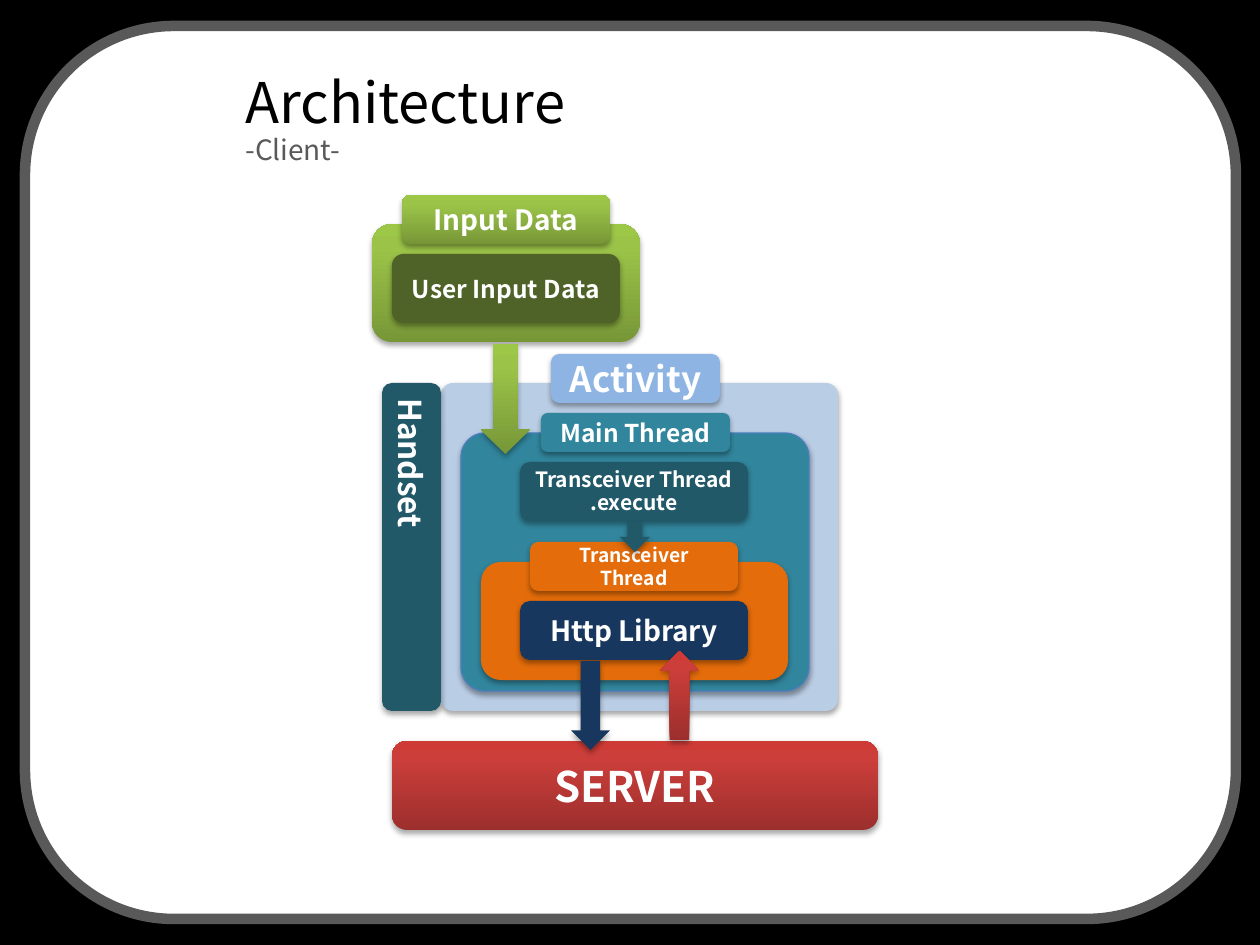
from copy import deepcopy

from lxml import etree
from pptx import Presentation
from pptx.dml.color import RGBColor
from pptx.enum.shapes import MSO_SHAPE as SHAPE
from pptx.enum.text import MSO_ANCHOR as ANCHOR, PP_ALIGN as ALIGN
from pptx.oxml.ns import qn
from pptx.util import Pt

PX = 914400 / 126
FONT = "Noto Sans CJK KR"
COLORS = {
    "black": "000000", "white": "FFFFFF", "gray": "595959",
    "pale": "B9CDE5", "sky": "8EB4E3", "edge": "4B7EBC",
    "teal": "31859C", "deep": "215968", "navy": "17375E",
    "orange": "E46C0A", "olive": "4F6228",
}
GRADIENTS = {
    "green": ("779737", "9BC348", "9DC746"),
    "red": ("9C2F2D", "CB3E3A", "CE3B37"),
}


def rgb(name):
    return RGBColor.from_string(COLORS[name])


def emu(*lengths):
    return [round(n * PX) for n in lengths]


def paint(sp, color):
    if color not in GRADIENTS:
        sp.fill.solid()
        sp.fill.fore_color.rgb = rgb(color)
        return
    sp.fill.gradient()
    sp.fill.gradient_angle = 90
    stops = sp._element.spPr.find(".//" + qn("a:gsLst"))
    stops.append(deepcopy(stops[-1]))
    for stop, pos, value in zip(sp.fill.gradient_stops, (0, 0.8, 1), GRADIENTS[color]):
        stop.position = pos
        stop.color.rgb = RGBColor.from_string(value)


def cast_shadow(sp):
    effects = sp._element.spPr.find(qn("a:effectLst"))
    outer = etree.SubElement(effects, qn("a:outerShdw"), blurRad="40000",
                             dist="23000", dir="5400000", rotWithShape="0")
    tint = etree.SubElement(outer, qn("a:srgbClr"), val=COLORS["black"])
    etree.SubElement(tint, qn("a:alpha"), val="35000")


def style_runs(p, size, color, bold=False):
    for r in p.runs:
        r.font.size = Pt(size)
        r.font.name = FONT
        r.font.bold = bold
        r.font.color.rgb = rgb(color)


def add_block(s, box, color, text="", size=0, kind=SHAPE.ROUNDED_RECTANGLE,
              radius=None, spacing=None, line=None, shadow=True):
    sp = s.shapes.add_shape(kind, *emu(*box))
    sp.shadow.inherit = False
    paint(sp, color)
    if line:
        sp.line.color.rgb = rgb(line[0])
        sp.line.width = Pt(line[1])
    else:
        sp.line.fill.background()
    if radius is not None:
        sp.adjustments[0] = radius
    if shadow:
        cast_shadow(sp)
    if text:
        tf = sp.text_frame
        tf.text = text
        tf.word_wrap = True
        tf.vertical_anchor = ANCHOR.MIDDLE
        for p in tf.paragraphs:
            p.alignment = ALIGN.CENTER
            if spacing:
                p.line_spacing = Pt(spacing)
            style_runs(p, size, "white", True)
    return sp


def add_title(s, box):
    tf = s.shapes.add_textbox(*emu(*box)).text_frame
    tf.word_wrap = False
    tf.text = "Architecture\n-Client-"
    styles = ((32, "black", 42), (16, "gray", 18))
    for p, (size, color, spacing) in zip(tf.paragraphs, styles):
        p.line_spacing = Pt(spacing)
        style_runs(p, size, color)


def add_input(s, box):
    x, y, w, h = box
    add_block(s, box, "green")
    add_block(s, (x + 30, y - 29, w - 60, 49), "green", "Input Data", 16)
    add_block(s, (x + 20, y + 30, w - 40, 69), "olive", "User Input Data", 14)
    add_block(s, (x + 109, y + h + 2, 49, 110), "green", kind=SHAPE.DOWN_ARROW)


def add_transceiver(s, box):
    x, y, w, h = box
    add_block(s, box, "orange")
    add_block(s, (x + 49, y - 20, w - 99, 49), "orange",
              "Transceiver Thread", 11, spacing=13)
    add_block(s, (x + 39, y + 39, w - 79, 59), "navy", "Http Library", 16)


def add_main_thread(s, box):
    x, y, w, h = box
    add_block(s, box, "teal", radius=0.093, line=("edge", 0.75))
    add_block(s, (x + 80, y - 20, 189, 39), "teal", "Main Thread", 14)
    add_transceiver(s, (x + 20, y + 129, w - 41, 118))
    add_block(s, (x + 59, y + 29, 228, 59), "deep",
              "Transceiver Thread\n.execute", 12, spacing=13)
    add_block(s, (x + 159, y + 89, 30, 30), "deep", kind=SHAPE.DOWN_ARROW)


def add_client(s, box):
    x, y, w, h = box
    bar = 59
    add_block(s, (x + bar, y, w - bar, h), "pale", radius=0.037)
    add_main_thread(s, (x + 79, y + 50, 348, 258))
    add_block(s, (x + 169, y - 29, 169, 49), "sky", "Activity", 20)
    sp = add_block(s, (x, y, bar, h), "deep", "Handset", 18)
    sp.text_frame._txBody.bodyPr.set("vert", "eaVert")


def add_server(s, box):
    x, y, w, h = box
    add_block(s, box, "red", "SERVER", 24)
    add_block(s, (x + 179, y - 80, 39, 89), "navy", kind=SHAPE.DOWN_ARROW)
    add_block(s, (x + 268, y - 90, 39, 89), "red", kind=SHAPE.UP_ARROW)


def main():
    prs = Presentation()
    prs.slide_width, prs.slide_height = emu(1260, 945)
    s = prs.slides.add_slide(prs.slide_layouts[6])
    s.background.fill.solid()
    s.background.fill.fore_color.rgb = rgb("black")
    add_block(s, (25, 26, 1211, 893), "white", line=("gray", 6), shadow=False)
    add_title(s, (233, 55, 449, 81))
    add_client(s, (382, 383, 456, 328))
    add_input(s, (372, 224, 268, 118))
    add_server(s, (392, 741, 486, 89))
    prs.save("out.pptx")


if __name__ == "__main__":
    main()
